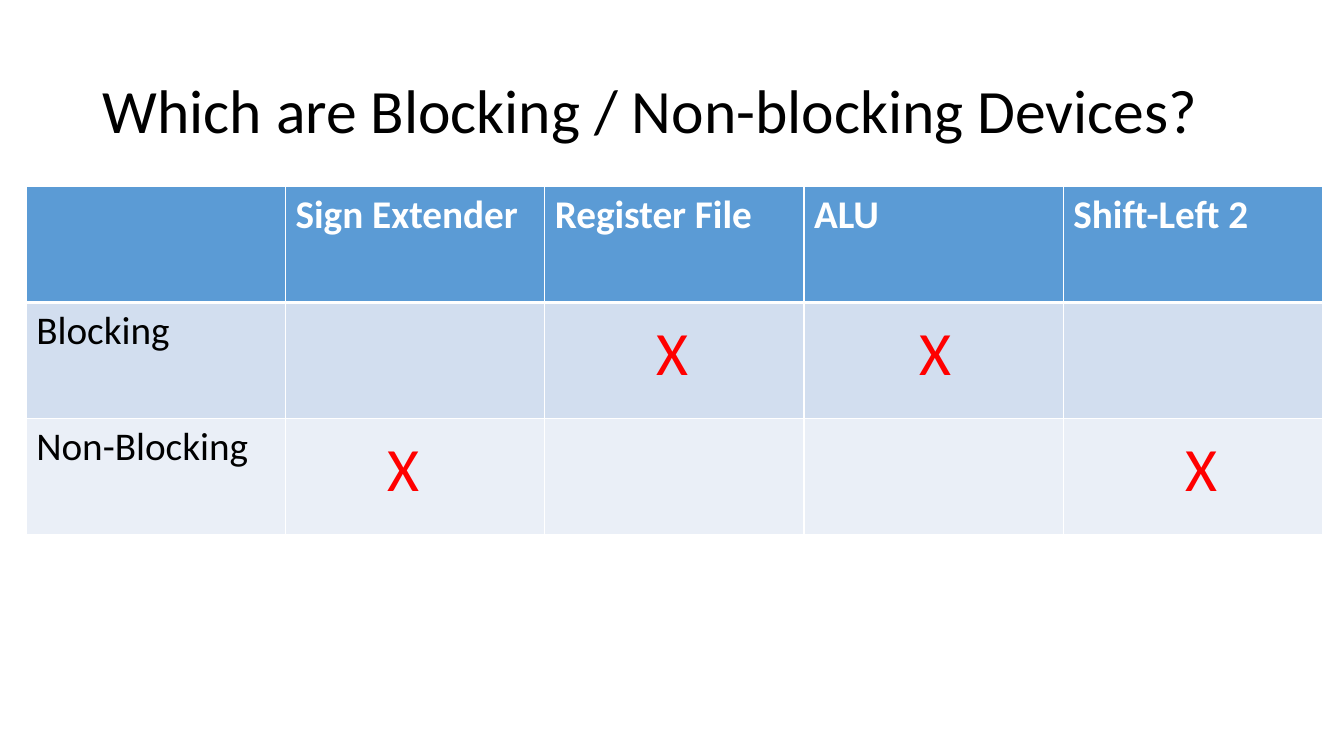
from lxml import etree
from pptx import Presentation
from pptx.dml.color import RGBColor
from pptx.enum.text import MSO_ANCHOR, MSO_AUTO_SIZE
from pptx.oxml.ns import qn
from pptx.util import Inches, Pt

MIDDLE, TOP = MSO_ANCHOR.MIDDLE, MSO_ANCHOR.TOP
GROW, FIXED = MSO_AUTO_SIZE.SHAPE_TO_FIT_TEXT, MSO_AUTO_SIZE.NONE

BLACK = RGBColor(0x00, 0x00, 0x00)
WHITE = RGBColor(0xFF, 0xFF, 0xFF)
RED = RGBColor(0xFF, 0x00, 0x00)
BLUE = RGBColor(0x5B, 0x9B, 0xD5)
PALE_BLUE = RGBColor(0xD2, 0xDE, 0xEF)
PALER_BLUE = RGBColor(0xEA, 0xEF, 0xF7)

# Content
TITLE = "Which are Blocking / Non-blocking Devices?"
ROWS = [
    ["", "Sign Extender", "Register File", "ALU", "Shift-Left 2"],
    ["Blocking", "", "", "", ""],
    ["Non-Blocking", "", "", "", ""],
]
ROW_FILLS = [BLUE, PALE_BLUE, PALER_BLUE]
# Answer marks: table row, table column, nudge from the column's centre
MARKS = [(2, 1, -0.11), (1, 2, -0.02), (1, 3, 0.02), (2, 4, 0.09)]

# Grid in inches
LEFT, TOP_EDGE, COL_W, ROW_H = 0.26, 1.85, 2.572, 1.15
MARK_W, MARK_H, MARK_DROP = 0.52, 0.84, 0.07

HEADER_FONT = {"size": Pt(28), "bold": True}
BODY_FONT = {"size": Pt(28), "bold": False}
LARGE_FONT = {"size": Pt(44)}


def write(tf, text, color, font):
    p = tf.paragraphs[0]
    r = p.add_run()
    r.text = text
    r.font.name = "Calibri"
    r.font.color.rgb = color
    for name, value in font.items():
        setattr(r.font, name, value)
    return p


def add_text(s, box, text, color, anchor, wrap, auto_size):
    tf = s.shapes.add_textbox(*map(Inches, box)).text_frame
    tf.word_wrap, tf.auto_size, tf.vertical_anchor = wrap, auto_size, anchor
    return write(tf, text, color, LARGE_FONT)


def set_borders(cell, widths):
    tcPr = cell._tc.get_or_add_tcPr()
    for i, (side, width) in enumerate(widths.items()):
        ln = etree.Element(qn("a:ln" + side), w=str(Pt(width)))
        fill = etree.SubElement(ln, qn("a:solidFill"))
        etree.SubElement(fill, qn("a:srgbClr"), val=str(WHITE))
        tcPr.insert(i, ln)


def add_device_table(s):
    n_rows, n_cols = len(ROWS), len(ROWS[0])
    box = (LEFT, TOP_EDGE, n_cols * COL_W, n_rows * ROW_H)
    table = s.shapes.add_table(n_rows, n_cols, *map(Inches, box)).table
    for i, row in enumerate(ROWS):
        table.rows[i].height = Inches(ROW_H)
        header = i == 0
        for j, text in enumerate(row):
            cell = table.cell(i, j)
            cell.fill.solid()
            cell.fill.fore_color.rgb = ROW_FILLS[i]
            set_borders(cell, {"L": 1, "R": 1, "T": 3 if i == 1 else 1,
                               "B": 3 if header else 1})
            if text:
                write(cell.text_frame, text, WHITE if header else BLACK,
                      HEADER_FONT if header else BODY_FONT)


def main():
    prs = Presentation()
    prs.slide_width, prs.slide_height = Inches(13.33), Inches(7.5)
    s = prs.slides.add_slide(prs.slide_layouts[6])

    # Title
    p = add_text(s, (0.92, 0.4, 11.5, 1.45), TITLE, BLACK, MIDDLE, True, FIXED)
    p.line_spacing = 0.9

    # Device table
    add_device_table(s)

    # Answer marks
    for row, col, nudge in MARKS:
        x = LEFT + (col + 0.5) * COL_W + nudge - MARK_W / 2
        y = TOP_EDGE + row * ROW_H + MARK_DROP
        add_text(s, (x, y, MARK_W, MARK_H), "X", RED, TOP, False, GROW)

    prs.save("out.pptx")


if __name__ == "__main__":
    main()
